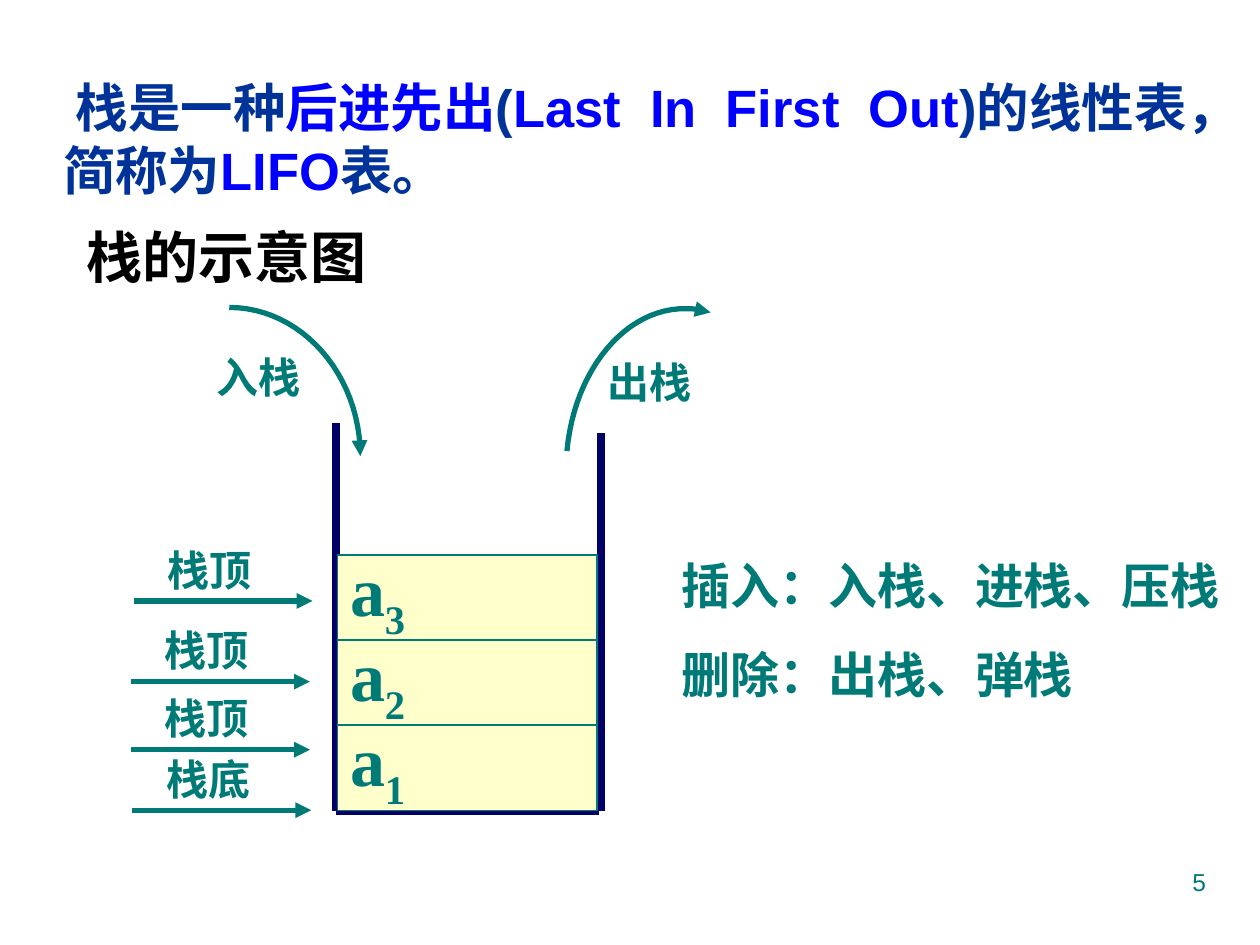
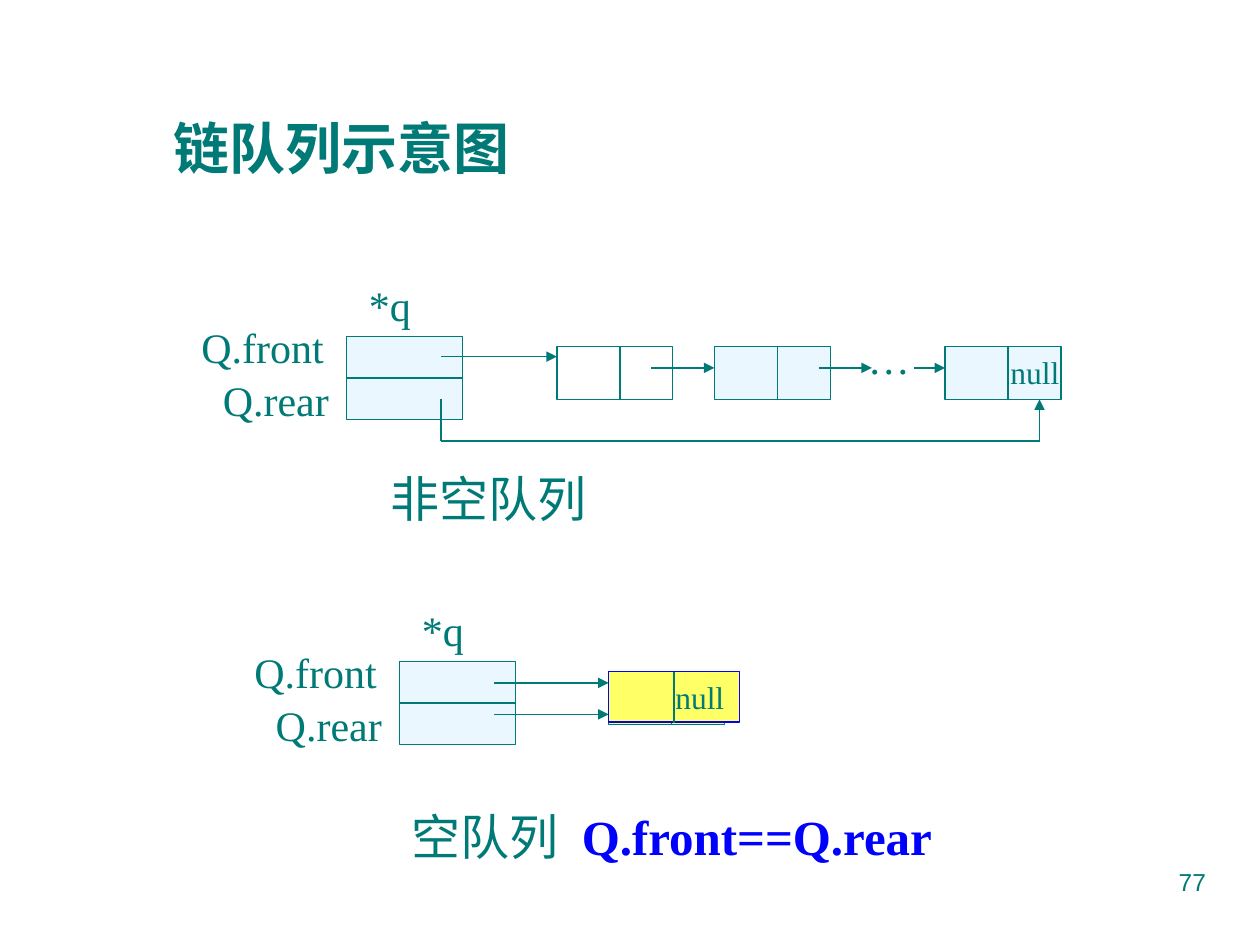
from dataclasses import dataclass
from itertools import chain

from lxml import etree
from pptx import Presentation
from pptx.dml.color import RGBColor
from pptx.enum.shapes import MSO_CONNECTOR, MSO_SHAPE
from pptx.enum.text import MSO_ANCHOR, MSO_AUTO_SIZE, PP_ALIGN
from pptx.oxml.ns import qn
from pptx.util import Inches, Pt

STRAIGHT = MSO_CONNECTOR.STRAIGHT
RECTANGLE = MSO_SHAPE.RECTANGLE
TOP, MIDDLE = MSO_ANCHOR.TOP, MSO_ANCHOR.MIDDLE
LEFT, RIGHT = PP_ALIGN.LEFT, PP_ALIGN.RIGHT
NO_FIT = MSO_AUTO_SIZE.NONE
TITLE_ONLY = 5


@dataclass(frozen=True)
class Theme:
    teal: str = "007A77"
    navy: str = "000066"
    royal: str = "003399"
    blue: str = "0000FF"
    black: str = "000000"
    white: str = "FFFFFF"
    cream: str = "FFFFCC"
    ice: str = "EBF7FF"
    yellow: str = "FFFF66"
    serif: str = "Times New Roman"
    sans: str = "Arial"
    element: int = 40
    heading: int = 32
    definition: int = 30
    caption: int = 28
    label: int = 24
    small: int = 18
    footer: int = 14
    thin: float = 0.75
    arrow: float = 3
    wall: float = 4.5


THEME = Theme()


@dataclass(frozen=True)
class Box:
    left: float
    top: float
    width: float
    height: float

    def inner(self, left, top, width, height):
        return Box(self.left + left, self.top + top, width, height)

    def point(self, across, down):
        return self.left + across, self.top + down

    def lengths(self):
        return [Inches(side) for side in (self.left, self.top, self.width, self.height)]


@dataclass(frozen=True)
class Span:
    text: str
    color: str = THEME.teal
    bold: bool = False
    baseline: int = 0
    spacing: int = 0


def write(para, spans, size, font=THEME.serif, align=LEFT):
    para.alignment = align
    for part in spans:
        span = para.add_run()
        span.text = part.text
        span.font.size = Pt(size)
        span.font.name = font
        span.font.bold = part.bold
        span.font.color.rgb = RGBColor.from_string(part.color)
        for name in ("baseline", "spacing"):
            if getattr(part, name):
                attribute = {"baseline": "baseline", "spacing": "spc"}[name]
                span.font._element.set(attribute, str(getattr(part, name)))


def set_frame(frame, anchor=TOP, wrap=True, insets=(0.1, 0.05, 0.1, 0.05)):
    frame.auto_size = NO_FIT
    frame.word_wrap = wrap
    frame.vertical_anchor = anchor
    (frame.margin_left, frame.margin_top,
     frame.margin_right, frame.margin_bottom) = map(Inches, insets)


def add_text(shapes, box, lines, size, font=THEME.serif, align=LEFT, wrap=True, gap=0):
    frame = shapes.add_textbox(*box.lengths()).text_frame
    set_frame(frame, wrap=wrap)
    for number, spans in enumerate(lines):
        para = frame.add_paragraph() if number else frame.paragraphs[0]
        if number:
            para.space_before = Pt(gap)
        write(para, spans, size, font, align)


def add_label(shapes, box, text, size=THEME.label, color=THEME.teal, bold=False, wrap=True):
    add_text(shapes, box, [[Span(text, color, bold)]], size, wrap=wrap)


def set_line(shape, color, width, arrow):
    shape.line.color.rgb = RGBColor.from_string(color)
    shape.line.width = Pt(width)
    if arrow:
        outline = shape._element.spPr.find(qn("a:ln"))
        etree.SubElement(outline, qn("a:tailEnd"), type="triangle")


def add_line(shapes, start, end, color=THEME.teal, width=THEME.thin, arrow=False):
    connector = shapes.add_connector(STRAIGHT, *map(Inches, (*start, *end)))
    set_line(connector, color, width, arrow)
    etree.SubElement(connector._element.spPr, qn("a:effectLst"))


def add_cell(shapes, box, fill, color=THEME.teal):
    cell = shapes.add_shape(RECTANGLE, *box.lengths())
    cell.shadow.inherit = False
    cell.fill.solid()
    cell.fill.fore_color.rgb = RGBColor.from_string(fill)
    set_line(cell, color, THEME.thin, False)
    return cell.text_frame


def bezier(controls, steps=24):
    for step in range(1, steps + 1):
        t = step / steps
        weights = ((1 - t) ** 3, 3 * t * (1 - t) ** 2, 3 * t * t * (1 - t), t ** 3)
        yield tuple(sum(w * point[axis] for w, point in zip(weights, controls))
                    for axis in (0, 1))


def add_curve(shapes, box, controls):
    points = [box.point(*control) for control in controls]
    curves = [points[first:first + 4] for first in range(0, len(points) - 1, 3)]
    track = [tuple(map(Inches, point)) for point in chain.from_iterable(map(bezier, curves))]
    builder = shapes.build_freeform(*map(Inches, points[0]))
    builder.add_line_segments(track, close=False)
    curve = builder.convert_to_shape()
    curve.shadow.inherit = False
    curve.fill.background()
    set_line(curve, THEME.teal, THEME.arrow, True)


def add_page(deck, box, title_spans, size, number, indent=0):
    page = deck.slides.add_slide(deck.slide_layouts[TITLE_ONLY])
    title = page.shapes.title
    title.left, title.top, title.width, title.height = box.lengths()
    set_frame(title.text_frame, anchor=MIDDLE)
    para = title.text_frame.paragraphs[0]
    if indent:
        para._p.get_or_add_pPr().set("indent", str(Inches(indent)))
    write(para, title_spans, size, THEME.sans)
    add_text(page.shapes, Box(7.17, 6.83, 2.5, 0.52), [[Span(str(number))]],
             THEME.footer, THEME.sans, RIGHT)
    return page


def draw_stack(page, box, elements):
    walls = page.shapes.add_group_shape().shapes
    for start, end in (((0, 0), (0, box.height)),
                       ((0, box.height), (2.08, box.height)),
                       ((box.width, 0.08), (box.width, box.height))):
        add_line(walls, box.point(*start), box.point(*end), THEME.navy, THEME.wall)
    step = 0.675
    for index in range(1, elements + 1):
        cell = box.inner(0.01, box.height - 0.01 - index * step, 2.06, step)
        frame = add_cell(page.shapes, cell, THEME.cream)
        set_frame(frame, MIDDLE, insets=(0.1, 0, 0.1, 0.05))
        write(frame.paragraphs[0],
              [Span("a", bold=True), Span(str(index), bold=True, baseline=-25000)],
              THEME.element)


def draw_pointer(page, box, name):
    parts = page.shapes.add_group_shape().shapes
    add_line(parts, box.point(0, box.height), box.point(box.width, box.height),
             width=THEME.arrow, arrow=True)
    add_label(parts, box.inner(0.17, 0, 1, 0.5), name, bold=True)


def draw_move(page, box, controls, label_offset, name):
    add_curve(page.shapes, box, controls)
    add_label(page.shapes, box.inner(*label_offset, 0.98, 0.5), name, bold=True)


def stack_page(deck):
    def royal(text):
        return Span(text, THEME.royal, True)

    def blue(text, spacing=0):
        return Span(text, THEME.blue, True, spacing=spacing)

    definition = [royal("栈是一种"), blue("后进先出"), royal("("), blue("Last")]
    for word in ("In", "First", "Out"):
        definition += [blue(" ", 830), blue(word)]
    definition += [royal(")的线性表，简称为"), blue("LIFO"), royal("表。")]
    page = add_page(deck, Box(0.4, 0.47, 9.34, 1.25), definition,
                    THEME.definition, 5, indent=0.1)
    add_label(page.shapes, Box(0.59, 1.72, 5.58, 0.64), "栈的示意图",
              THEME.heading, THEME.black, True)
    draw_stack(page, Box(2.67, 3.36, 2.1, 3.08), 3)
    draw_move(page, Box(1.82, 2.44, 1.04, 1.18),
              [(0, 0), (0.57, 0), (1.04, 0.53), (1.04, 1.18)], (-0.2, 0.3), "入栈")
    draw_move(page, Box(4.5, 2.44, 1.14, 1.14),
              [(0, 1.14), (0.06, 0.49), (0.47, 0), (0.95, 0.01),
               (1.01, 0.01), (1.08, 0.02), (1.14, 0.04)], (0.22, 0.34), "出栈")
    for left, top, name in ((1.06, 4.27, "栈顶"), (1.04, 4.91, "栈顶"),
                            (1.04, 5.45, "栈顶"), (1.05, 5.93, "栈底")):
        draw_pointer(page, Box(left, top, 1.42, 0.5), name)
    terms = ("插入：入栈、进栈、压栈", "删除：出栈、弹栈")
    add_text(page.shapes, Box(5.31, 4.36, 4.51, 1.28),
             [[Span(term, bold=True)] for term in terms], THEME.caption, gap=17.5)


def draw_head(page, box):
    half = box.height / 2
    for row in range(2):
        add_cell(page.shapes, box.inner(0, row * half, box.width, half), THEME.ice)
    for left, top, width, name in ((0.08, -0.5, 1.08, "*q"), (-1.25, -0.17, 1.33, "Q.front"),
                                   (-1.08, 0.25, 1.33, "Q.rear")):
        add_label(page.shapes, box.inner(left, top, width, 0.5), name)


def draw_node(page, box, fill):
    add_cell(page.shapes, box, fill)
    add_line(page.shapes, box.point(0.5, 0), box.point(0.5, box.height))


def draw_full_queue(page, box):
    shapes = page.shapes
    draw_head(page, box.inner(0, 0, 0.92, 0.66))
    for left, fill in ((1.67, THEME.white), (2.92, THEME.ice), (4.75, THEME.ice)):
        draw_node(page, box.inner(left, 0.08, 0.92, 0.42), fill)
    for start, end, down in ((0.75, 1.67, 0.16), (2.42, 2.92, 0.25),
                             (3.75, 4.17, 0.25), (4.5, 4.75, 0.25)):
        add_line(shapes, box.point(start, down), box.point(end, down), arrow=True)
    rear_track = [box.point(*corner)
                  for corner in ((0.75, 0.5), (0.75, 0.83), (5.5, 0.83), (5.5, 0.5))]
    for index in range(3):
        add_line(shapes, rear_track[index], rear_track[index + 1], arrow=index == 2)
    add_label(shapes, box.inner(5.17, 0.08, 0.92, 0.4), "null", THEME.small)
    add_label(shapes, box.inner(4.04, -0.08, 0.53, 0.5), "…", wrap=False)
    add_label(shapes, box.inner(0.25, 1, 2.75, 0.57), "非空队列", THEME.caption)


def draw_empty_queue(page, box):
    shapes = page.shapes
    draw_head(page, box.inner(0, 0, 0.92, 0.66))
    draw_node(page, box.inner(1.66, 0.08, 0.92, 0.42), THEME.yellow)
    for down in (0.17, 0.42):
        add_line(shapes, box.point(0.75, down), box.point(1.66, down), arrow=True)
    frame = add_cell(shapes, box.inner(1.66, 0.08, 1.04, 0.4), THEME.yellow, THEME.blue)
    set_frame(frame, insets=(0.53, 0.05, 0, 0.05))
    write(frame.paragraphs[0], [Span("null")], THEME.small)
    add_line(shapes, box.point(2.18, 0.08), box.point(2.18, 0.49), width=1)
    add_text(shapes, box.inner(0, 1.1, 5.77, 0.57),
             [[Span("空队列"), Span(" ", spacing=700),
               Span("Q.front==Q.rear", THEME.blue, True)]], THEME.caption)


def queue_page(deck):
    page = add_page(deck, Box(1.28, 0.83, 6.88, 0.67),
                    [Span("链队列示意图", bold=True)], THEME.heading, 77)
    draw_full_queue(page, Box(2.75, 2.67, 5.67, 1.57))
    draw_empty_queue(page, Box(3.17, 5.25, 5.77, 1.67))


def main():
    deck = Presentation()
    deck.slide_width, deck.slide_height = Inches(10), Inches(7.5)
    stack_page(deck)
    queue_page(deck)
    deck.save("out.pptx")


if __name__ == "__main__":
    main()
